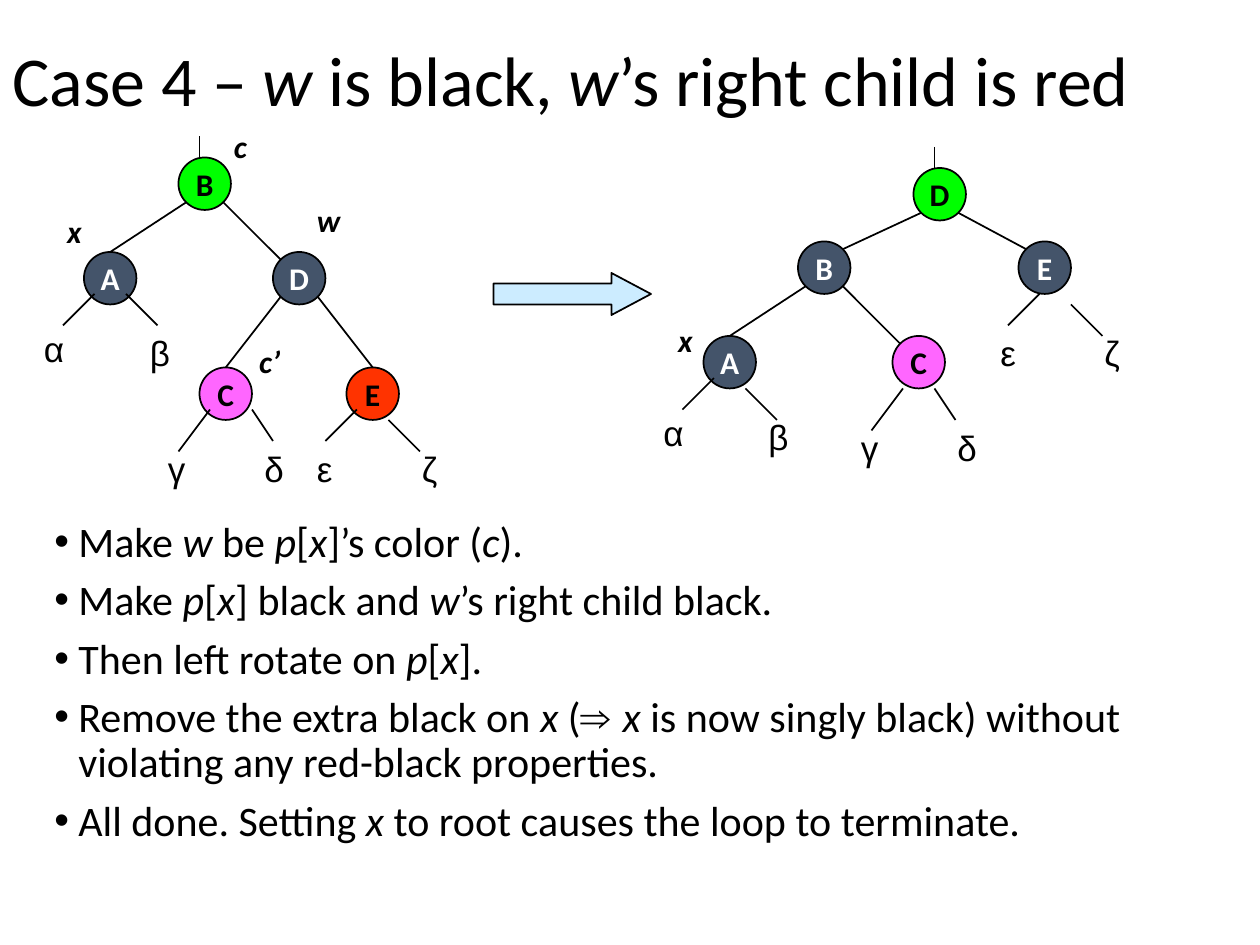
"""Build a slide on case 4 of red-black tree deletion, with the trees before and after."""
import math

import pptx
import pptx.dml.color
import pptx.enum.shapes
import pptx.enum.text
import pptx.util
from lxml import etree

COLUMNS, ROWS = 120, 90
WIDTH, HEIGHT = pptx.util.Inches(10), pptx.util.Inches(7.5)
NODE = 5
COLORS = {"ink": "000000", "paper": "FFFFFF", "black": "44546A", "either": "00FF00",
          "unknown": "FF66FF", "red": "FF3300", "arrow": "CCECFF"}

TITLE = "Case 4 – *w* is black, *w*’s right child is red"
STEPS = [
    "Make *w *be *p*[*x*]’s color (*c*).",
    "Make *p*[*x*] black and *w*’s right child black.",
    "Then left rotate on *p*[*x*].",
    "Remove the extra black on *x *(**⇒ *x *is now singly black) "
    "without violating any red-black properties.",
    "All done. Setting *x *to root causes the loop to terminate.",
]
TREES = [
    {
        "nodes": {"B": (17, 15, "either"), "A": (8, 24, "black"), "D": (26, 24, "black"),
                  "C": (19, 35, "unknown"), "E": (33, 35, "red")},
        "edges": [("B", "lower left", "A", "top"), ("B", "lower right", "D", "upper left"),
                  ("D", "lower left", "C", "top"), ("D", "lower right", "E", "top")],
        "branches": [(19, 13, 19, 15), (9, 28, 6, 31), (12, 28, 15, 31), (20, 39, 17, 43),
                     (24, 39, 26, 42), (34, 39, 31, 42), (37, 40, 40, 43)],
        "subtrees": [("α", 3, 30.6), ("β", 13.1, 31), ("γ", 14.8, 42),
                     ("δ", 24, 42), ("ε", 29, 42), ("ζ", 39, 42)],
        "marks": [("x", 5.2, 19.6), ("w", 29, 18.6), ("c", 21.1, 11.5), ("c’", 23.5, 32)],
    },
    {
        "nodes": {"D": (87, 16, "either"), "B": (76, 23, "black"), "E": (97, 23, "black"),
                  "A": (67, 32, "black"), "C": (85, 32, "unknown")},
        "edges": [("D", "lower left", "B", "upper right"), ("D", "lower right", "E", "upper left"),
                  ("B", "lower left", "A", "top"), ("B", "lower right", "C", "upper left")],
        "branches": [(89, 14, 89, 16), (68, 36, 65, 39), (71, 37, 74, 40), (86, 37, 83, 41),
                     (89, 37, 91, 40), (99, 28, 96, 31), (102, 29, 105, 32)],
        "subtrees": [("α", 62, 38.6), ("β", 72, 39), ("γ", 80.8, 40),
                     ("δ", 90, 40), ("ε", 94.1, 31), ("ζ", 104, 31)],
        "marks": [("x", 63.4, 30)],
    },
]
LABEL_WIDTHS = {"α": 4.4, "β": 4.2, "γ": 4.2, "δ": 4.1, "ε": 3.8, "ζ": 4.1,
                "x": 3.7, "w": 4.6, "c": 3.6, "c’": 4.5}
DIRECTIONS = {"upper left": (-1, -1), "upper right": (1, -1),
              "lower left": (-1, 1), "lower right": (1, 1)}


def across(columns):
    return round(WIDTH * columns / COLUMNS)


def down(rows):
    return round(HEIGHT * rows / ROWS)


def box(left, top, width, height):
    return across(left), down(top), across(width), down(height)


def rgb(name):
    return pptx.dml.color.RGBColor.from_string(COLORS[name])


def write(shape, *texts, size, font="Calibri", color="ink", bold=None, italic=False,
          align="LEFT", anchor="TOP", wrap=False, fit="NONE", spacing=None, before=None,
          bullet=None):
    """Fill a shape with paragraphs, where asterisks switch italics on and off."""
    frame = shape.text_frame
    frame.word_wrap = wrap
    frame.auto_size = pptx.enum.text.MSO_AUTO_SIZE[fit]
    frame.vertical_anchor = pptx.enum.text.MSO_ANCHOR[anchor]
    for index, text in enumerate(texts):
        paragraph = frame.paragraphs[0] if index == 0 else frame.add_paragraph()
        paragraph.alignment = pptx.enum.text.PP_ALIGN[align]
        paragraph.line_spacing = spacing
        paragraph.space_before = before
        if bullet:
            properties = paragraph._p.get_or_add_pPr()
            indent = pptx.util.Inches(0.19)
            properties.set("marL", str(indent))
            properties.set("indent", str(-indent))
            namespace = properties.nsmap["a"]
            etree.SubElement(properties, f"{{{namespace}}}buFont", typeface="Arial")
            etree.SubElement(properties, f"{{{namespace}}}buChar", char=bullet)
        for position, part in enumerate(text.split("*")):
            if part:
                run = paragraph.add_run()
                run.text = part
                run.font.name = "Arial" if part.startswith("⇒") else font
                run.font.size = pptx.util.Pt(size)
                run.font.bold = bold
                run.font.italic = italic or position % 2 == 1
                run.font.color.rgb = rgb(color)


def add_text(slide, place, *texts, **style):
    write(slide.shapes.add_textbox(*box(*place)), *texts, **style)


def add_filled(slide, kind, place, color):
    shape = slide.shapes.add_shape(pptx.enum.shapes.MSO_SHAPE[kind], *box(*place))
    shape.shadow.inherit = False
    shape.fill.solid()
    shape.fill.fore_color.rgb = rgb(color)
    shape.line.color.rgb = rgb("ink")
    shape.line.width = pptx.util.Pt(1)
    return shape


def add_line(slide, x1, y1, x2, y2):
    line = slide.shapes.add_connector(pptx.enum.shapes.MSO_CONNECTOR.STRAIGHT,
                                      across(x1), down(y1), across(x2), down(y2))
    line.line.color.rgb = rgb("ink")
    line.line.width = pptx.util.Pt(1)
    properties = line._element.spPr
    etree.SubElement(properties, f"{{{properties.nsmap['a']}}}effectLst")
    return line


def rim_point(node, side):
    left, top, _ = node
    radius = NODE / 2
    if side == "top":
        return left + radius, top
    x, y = DIRECTIONS[side]
    reach = radius * math.sqrt(0.5)
    return left + radius + x * reach, top + radius + y * reach


def add_tree(slide, tree):
    nodes, circles = tree["nodes"], {}
    for name, (left, top, color) in nodes.items():
        circles[name] = add_filled(slide, "OVAL", (left, top, NODE, NODE), color)
        write(circles[name], name, size=18, bold=True, align="CENTER", anchor="MIDDLE",
              color="paper" if color == "black" else "ink")
    for parent, start, child, end in tree["edges"]:
        line = add_line(slide, *rim_point(nodes[parent], start), *rim_point(nodes[child], end))
        if end == "top":
            line.end_connect(circles[child], 0)
    for branch in tree["branches"]:
        add_line(slide, *branch)
    for text, left, top in tree["subtrees"]:
        add_text(slide, (left, top, LABEL_WIDTHS[text], 5.3), text, size=20, font="Arial",
                 fit="SHAPE_TO_FIT_TEXT")
    for text, left, top in tree["marks"]:
        add_text(slide, (left, top, LABEL_WIDTHS[text], 4.8), text, size=18,
                 bold=True, italic=True, fit="SHAPE_TO_FIT_TEXT")


def main():
    presentation = pptx.Presentation()
    presentation.slide_width, presentation.slide_height = WIDTH, HEIGHT
    slide = presentation.slides.add_slide(presentation.slide_layouts[6])
    add_text(slide, (0, 2, COLUMNS, 12), TITLE, size=40, anchor="MIDDLE", wrap=True, spacing=0.9)
    add_text(slide, (4, 49, 111, 34), *STEPS, size=24, wrap=True, spacing=0.9,
             before=pptx.util.Pt(7.5), bullet="•")
    for tree in TREES:
        add_tree(slide, tree)
    arrow = add_filled(slide, "RIGHT_ARROW", (47, 26, 15, 4), "arrow")
    arrow.adjustments[1] = 0.94
    presentation.save("out.pptx")


if __name__ == "__main__":
    main()
